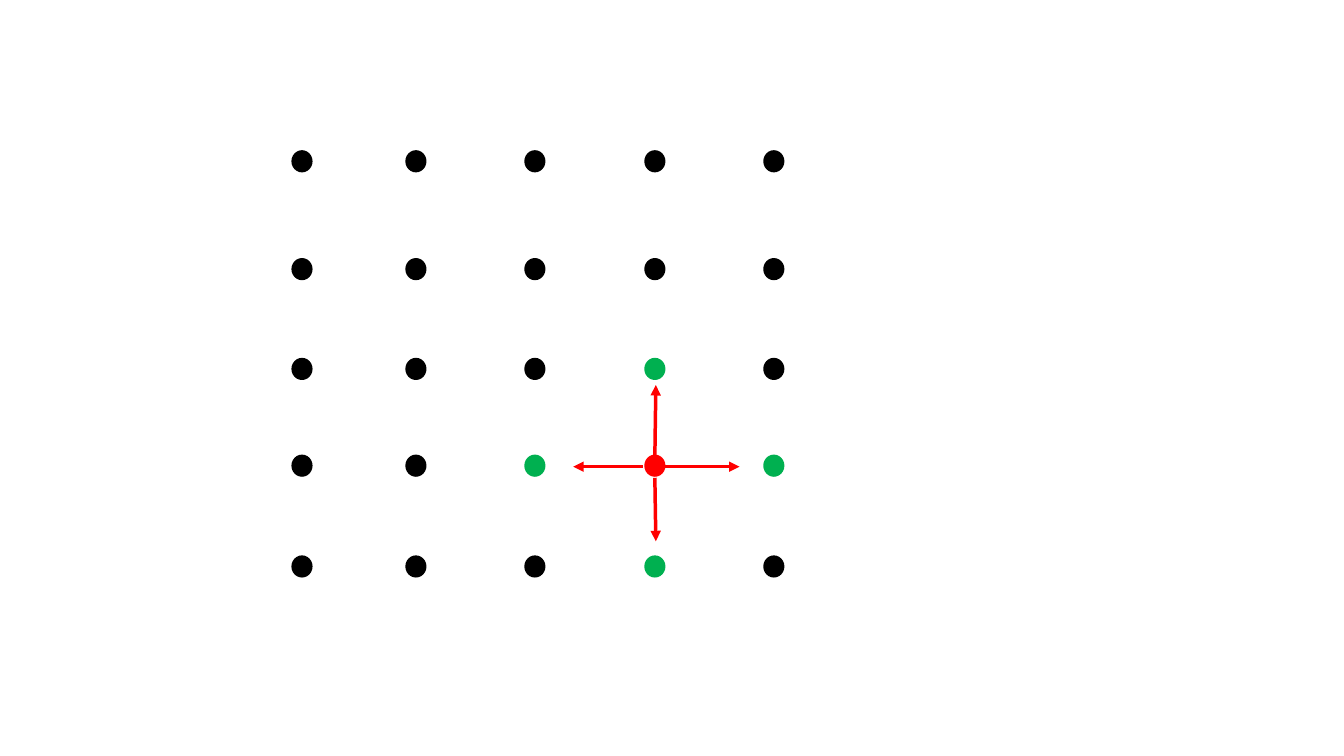
from lxml import etree
from pptx import Presentation
from pptx.dml.color import RGBColor
from pptx.enum.shapes import MSO_CONNECTOR, MSO_SHAPE
from pptx.oxml.ns import qn
from pptx.util import Inches, Pt

OVAL = MSO_SHAPE.OVAL
STRAIGHT = MSO_CONNECTOR.STRAIGHT
BLACK, GREEN, RED = "000000", "00B050", "FF0000"
PAGE_WIDTH, PAGE_HEIGHT = 13.33, 7.5
GRID_BOX = (2.89, 1.49, 4.89, 4.24)
DOT_WIDTH, DOT_HEIGHT = 0.21, 0.22
COLUMN_OFFSETS = (0, 1.13, 2.31, 3.5, 4.68)
ROW_OFFSETS = (0, 1.07, 2.06, 3.02, 4.02)
CENTER = (3, 3)
ARROWS = (
    ((0, -0.09), (0.01, -0.8)),
    ((0.1, 0.01), (0.84, 0.01)),
    ((0, 0.12), (0.01, 0.75)),
    ((-0.12, 0.01), (-0.81, 0.01)),
)


def color(value):
    """Turn a hex string into a colour."""
    return RGBColor.from_string(value)


def dot_color(row, column):
    """Choose a colour by the number of steps from the center dot."""
    steps = abs(row - CENTER[0]) + abs(column - CENTER[1])
    return {0: RED, 1: GREEN}.get(steps, BLACK)


def add_dot(page, left, top, fill):
    """Add one plain filled dot."""
    dot = page.shapes.add_shape(
        OVAL, Inches(left), Inches(top), Inches(DOT_WIDTH), Inches(DOT_HEIGHT))
    dot.shadow.inherit = False
    dot.fill.solid()
    dot.fill.fore_color.rgb = color(fill)
    dot.line.fill.background()


def add_arrow(page, start, end):
    """Add one red arrow between two points."""
    arrow = page.shapes.add_connector(STRAIGHT, *map(Inches, (*start, *end)))
    arrow.line.color.rgb = color(RED)
    arrow.line.width = Pt(2.5)
    line = arrow.line._get_or_add_ln()
    etree.SubElement(line, qn("a:tailEnd"), type="triangle")
    etree.SubElement(arrow._element.spPr, qn("a:effectLst"))


def add_dot_grid(page, box):
    """Draw the lattice of dots inside the box."""
    left, top, width, height = box
    for row, down in enumerate(ROW_OFFSETS):
        for column, across in enumerate(COLUMN_OFFSETS):
            add_dot(page, left + across, top + down, dot_color(row, column))


def add_neighbor_arrows(page, box):
    """Draw arrows from the center dot towards its four neighbors."""
    left, top, width, height = box
    row, column = CENTER
    middle_x = left + COLUMN_OFFSETS[column] + DOT_WIDTH / 2
    middle_y = top + ROW_OFFSETS[row] + DOT_HEIGHT / 2
    for arrow in ARROWS:
        start, end = ((middle_x + x, middle_y + y) for x, y in arrow)
        add_arrow(page, start, end)


def build_deck():
    """Build the one-page deck and save it."""
    deck = Presentation()
    deck.slide_width = Inches(PAGE_WIDTH)
    deck.slide_height = Inches(PAGE_HEIGHT)
    page = deck.slides.add_slide(deck.slide_layouts[6])
    add_dot_grid(page, GRID_BOX)
    add_neighbor_arrows(page, GRID_BOX)
    deck.save("out.pptx")


build_deck()
